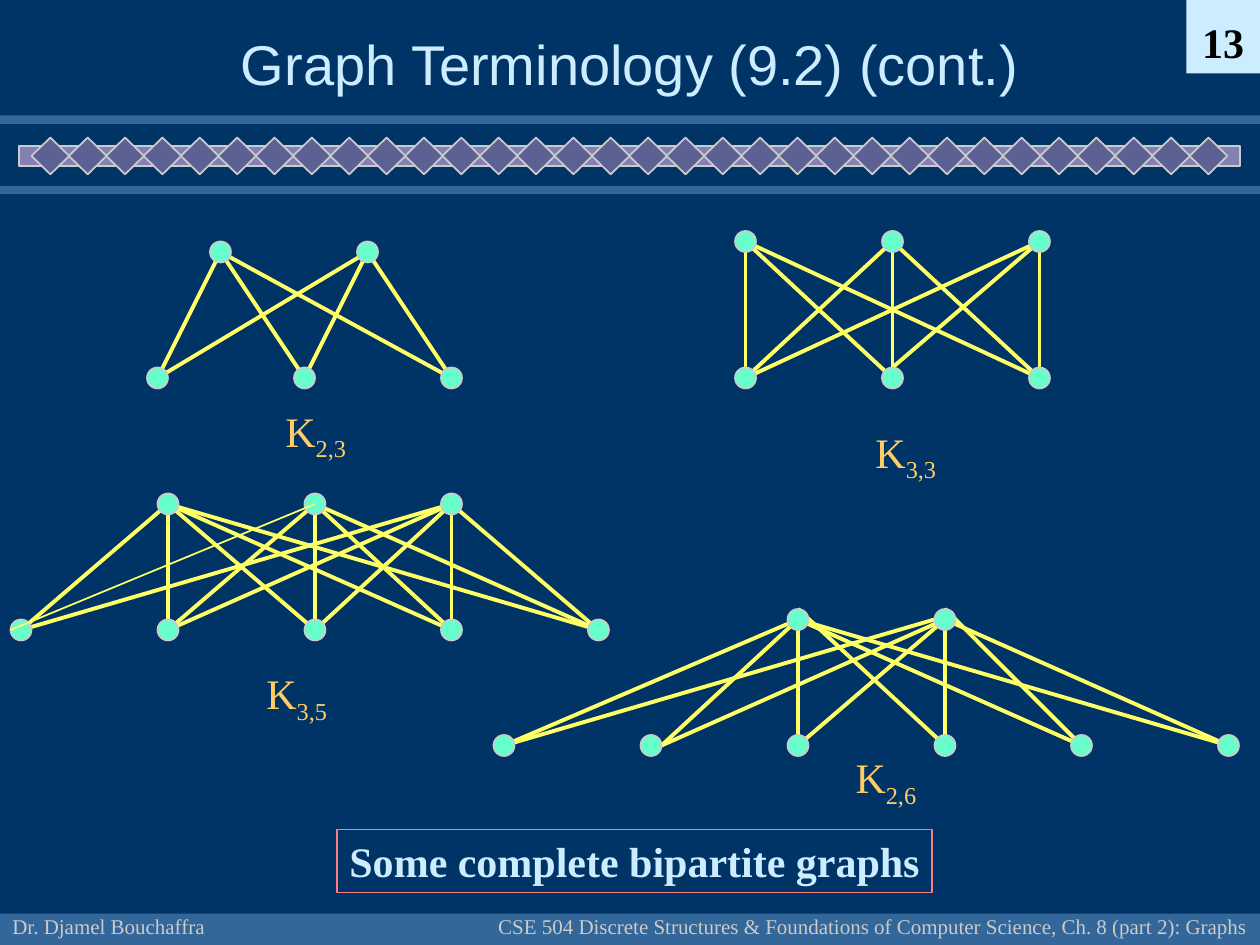
import pptx
import pptx.util
import pptx.dml.color
import pptx.enum.shapes
import pptx.enum.text
import pptx.oxml.ns
import lxml.etree

SCALE = 914400 // 120  # EMU in one px
COLORS = {
    "navy": "003366", "steel": "336699", "ice": "CCECFF", "mauve": "8381B3",
    "slate": "5B6192", "gray": "CBCBCB", "black": "000000", "yellow": "FFFF66",
    "mint": "66FFCC", "amber": "FFCC66", "coral": "FF7C80",
}
KIND = pptx.enum.shapes.MSO_SHAPE
ALIGN = pptx.enum.text.PP_ALIGN
ANCHOR = pptx.enum.text.MSO_ANCHOR
AUTO = pptx.enum.text.MSO_AUTO_SIZE
DOT = 20


def px(*sizes):
    return [round(size * SCALE) for size in sizes]


def rgb(name):
    return pptx.dml.color.RGBColor.from_string(COLORS[name])


class Deck:
    """Holds the style, the slide and the shape list now being filled."""

    serif = {"name": "Times New Roman"}
    sans = {"name": "Arial"}

    def __init__(self, width, height):
        self.file = pptx.Presentation()
        self.file.slide_width, self.file.slide_height = px(width, height)
        self.slide = self.file.slides.add_slide(self.file.slide_layouts[6])
        fill = self.slide.background.fill
        fill.solid()
        fill.fore_color.rgb = rgb("navy")
        self.home = self.slide.shapes

    def group(self):
        """Send what follows into a new group."""
        self.home = self.slide.shapes.add_group_shape().shapes

    def ungroup(self):
        self.home = self.slide.shapes

    def shape(self, kind, box, fill=None, line=None):
        item = self.home.add_shape(kind, *px(*box))
        item.shadow.inherit = False
        if fill:
            item.fill.solid()
            item.fill.fore_color.rgb = rgb(fill)
        else:
            item.fill.background()
        if line:
            item.line.color.rgb = rgb(line)
            item.line.width = pptx.util.Pt(1)
        else:
            item.line.fill.background()
        return item

    def edge(self, start, end, width=2.25):
        item = self.home.add_connector(
            pptx.enum.shapes.MSO_CONNECTOR.STRAIGHT, *px(*start, *end))
        item.line.color.rgb = rgb("yellow")
        item.line.width = pptx.util.Pt(width)
        props = item._element.spPr
        lxml.etree.SubElement(props, pptx.oxml.ns.qn("a:effectLst"))

    def dot(self, x, y):
        box = (x - DOT / 2, y - DOT / 2, DOT, DOT)
        self.shape(KIND.OVAL, box, "mint", "gray")

    def label(self, item, text, size, color, face=None, sub="",
              align=ALIGN.LEFT, bold=False, **frame):
        """Fill a shape with text; sub is set as a subscript after it."""
        style = {"word_wrap": False, "vertical_anchor": ANCHOR.TOP, **frame}
        for key, value in style.items():
            setattr(item.text_frame, key, value)
        para = item.text_frame.paragraphs[0]
        para.alignment = align
        font = {"size": pptx.util.Pt(size), "bold": bold,
                **(face or self.serif)}
        for part in filter(None, (text, sub)):
            run = para.add_run()
            run.text = part
            for key, value in font.items():
                setattr(run.font, key, value)
            run.font.color.rgb = rgb(color)
        if sub:
            run.font._element.set("baseline", "-25000")

    def text(self, box, *args, **style):
        self.label(self.home.add_textbox(*px(*box)), *args, **style)

    def graph(self, tops, bottoms, high, low, spot, shifts=None, thin=()):
        """Draw a complete bipartite graph, with its name at spot.

        shifts moves the ends of single edges, keyed by (top, bottom) index;
        thin edges are drawn as fine lines above the dots.
        """
        self.group()
        late = []
        for i, top in enumerate(tops):
            for j, foot in enumerate(bottoms):
                dx, dy, ex, ey = (shifts or {}).get((i, j), (0, 0, 0, 0))
                ends = (top + dx, high + dy), (foot + ex, low + ey)
                if (i, j) in thin:
                    late.append(ends)
                else:
                    self.edge(*ends)
        for row, y in ((tops, high), (bottoms, low)):
            for x in row:
                self.dot(x, y)
        for ends in late:
            self.edge(*ends, width=1)
        self.text((*spot, 82, 67), "K", 24, "amber",
                  sub=f"{len(tops)},{len(bottoms)}",
                  auto_size=AUTO.SHAPE_TO_FIT_TEXT)
        self.ungroup()


def main():
    deck = Deck(1200, 900)

    for y, height in ((870, 30), (110, 8), (177, 8)):
        deck.shape(KIND.RECTANGLE, (0, y, 1200, height), "steel")
    deck.group()
    deck.shape(KIND.RECTANGLE, (18, 139, 1163, 19), "mauve", "gray")
    for i in range(32):
        deck.shape(KIND.DIAMOND, (30 + i * 35.58, 131, 36, 35),
                   "slate", "gray")
    deck.ungroup()

    deck.text((0, 840, 250, 60), "Dr. Djamel Bouchaffra", 12, "gray",
              vertical_anchor=ANCHOR.BOTTOM)
    deck.text((460, 840, 740, 60),
              "CSE 504 Discrete Structures & Foundations of Computer Science, "
              "Ch. 8 (part 2): Graphs", 12, "gray", align=ALIGN.RIGHT,
              vertical_anchor=ANCHOR.BOTTOM)
    page = deck.shape(KIND.RECTANGLE, (1130, 0, 70, 70), "ice")
    deck.label(page, "13", 24, "black", align=ALIGN.CENTER, bold=True,
               vertical_anchor=ANCHOR.BOTTOM)
    deck.text((90, 20, 1020, 80), "Graph Terminology (9.2) (cont.)", 32,
              "ice", face=deck.sans, align=ALIGN.CENTER, word_wrap=True,
              vertical_anchor=ANCHOR.MIDDLE)

    deck.graph((210, 350), (150, 290, 430), 240, 360, (260, 380))
    deck.graph((160, 300, 430), (20, 160, 300, 430, 570), 480, 600,
               (242, 630), shifts={(1, 0): (0, 0, -10, 0)}, thin={(1, 0)})
    deck.graph((710, 850, 990), (710, 850, 990), 230, 360, (822, 400),
               shifts={(2, 1): (0, 0, 0, -10)})
    deck.graph((760, 900), (480, 620, 760, 900, 1030, 1170), 590, 710,
               (803, 710),
               shifts={(0, 1): (0, 0, 10, 0), (0, 3): (0, -10, 0, 0),
                       (1, 0): (-10, 0, 0, 0), (1, 1): (0, 0, 10, 0),
                       (1, 4): (0, -10, 0, 0)})

    note = deck.shape(KIND.RECTANGLE, (321, 790, 567, 60), line="coral")
    deck.label(note, "Some complete bipartite graphs", 24, "ice", bold=True,
               auto_size=AUTO.SHAPE_TO_FIT_TEXT)

    deck.file.save("out.pptx")


if __name__ == "__main__":
    main()
